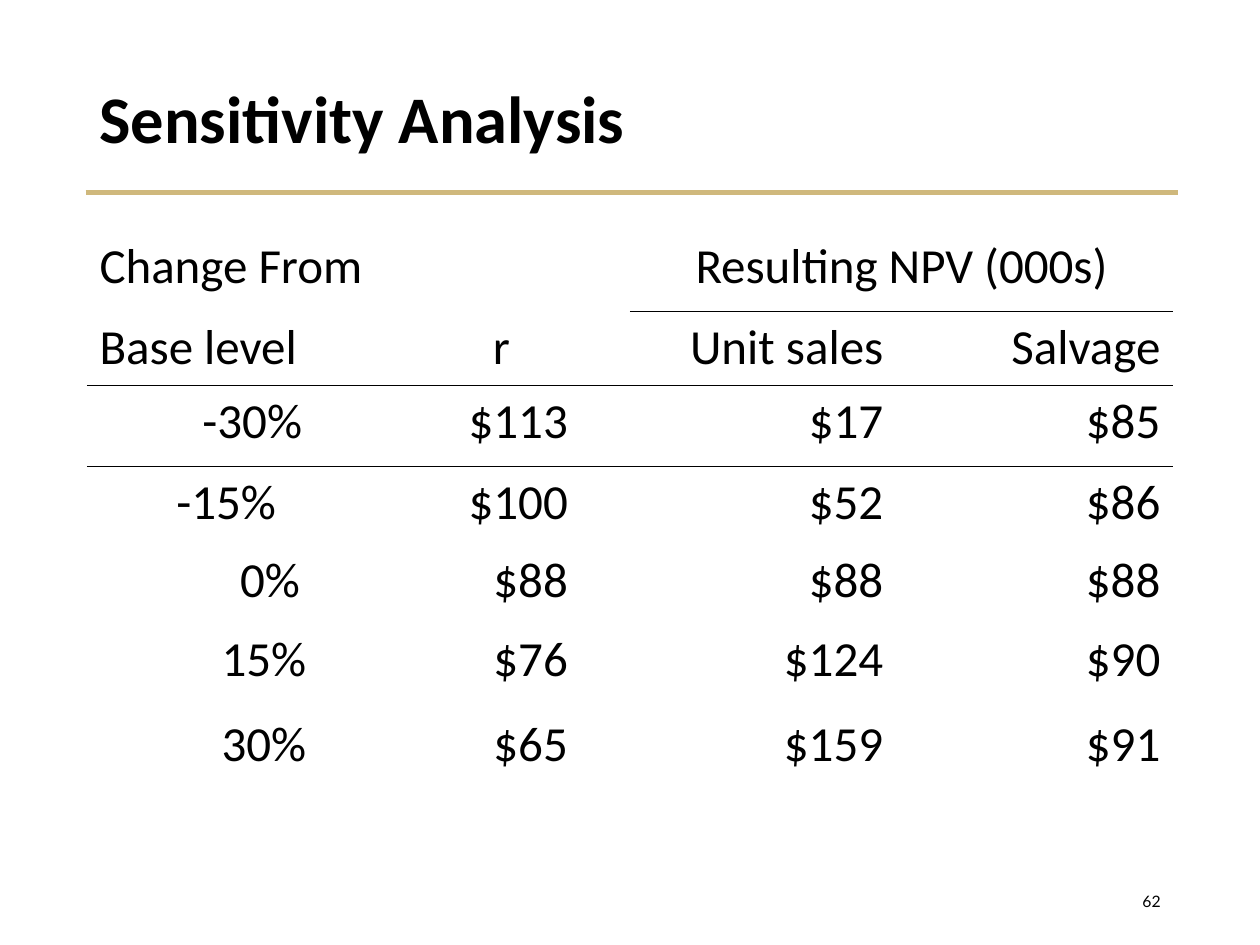
from lxml import etree
from pptx import Presentation
from pptx import util as u
from pptx.dml.color import RGBColor
from pptx.enum import shapes, text
from pptx.oxml import parse_xml
from pptx.oxml.ns import nsdecls, qn

LEFT, RIGHT, CENTER = text.PP_ALIGN.LEFT, text.PP_ALIGN.RIGHT, text.PP_ALIGN.CENTER
NO_STYLE = "{2D5ABB26-0587-4C30-8999-92F81FD0307C}"


def rgb(value):
    return RGBColor.from_string(value)


class Deck:
    """Builds slide elements in one shared style, with lengths in points."""

    ink, gold, font = "000000", "CFB87C", "Calibri"

    def __init__(self, width, height):
        self.prs = Presentation()
        self.prs.slide_width, self.prs.slide_height = u.Pt(width), u.Pt(height)
        self.s = self.prs.slides.add_slide(self.prs.slide_layouts[6])

    def add_run(self, tf, words, size, align=LEFT, bold=False, font=None):
        p = tf.paragraphs[0]
        p.alignment = align
        r = p.add_run()
        r.text = words
        r.font.size, r.font.bold = u.Pt(size), bold
        r.font.name = font or self.font
        r.font.color.rgb = rgb(self.ink)
        return p

    def label(self, x, y, w, h, words, size, **style):
        tf = self.s.shapes.add_textbox(u.Pt(x), u.Pt(y), u.Pt(w), u.Pt(h)).text_frame
        tf.word_wrap = True
        tf.vertical_anchor = text.MSO_ANCHOR.MIDDLE
        return self.add_run(tf, words, size, **style)

    def rule(self, x1, x2, y, weight):
        sp = self.s.shapes.add_connector(
            shapes.MSO_CONNECTOR.STRAIGHT, u.Pt(x1), u.Pt(y), u.Pt(x2), u.Pt(y))
        sp.line.color.rgb, sp.line.width = rgb(self.gold), u.Pt(weight)
        etree.SubElement(sp._element.spPr, qn("a:effectLst"))

    def table(self, x, y, widths, heights):
        table = self.s.shapes.add_table(
            len(heights), len(widths), u.Pt(x), u.Pt(y),
            u.Pt(sum(widths)), u.Pt(sum(heights))).table
        table.first_row = table.horz_banding = False
        table._tbl.tblPr.find(qn("a:tableStyleId")).text = NO_STYLE
        for column, width in zip(table.columns, widths):
            column.width = u.Pt(width)
        for row, height in zip(table.rows, heights):
            row.height = u.Pt(height)
        for cell in table.iter_cells():
            cell.fill.background()
        return table

    def cell(self, cell, words, align, right=7.2):
        cell.margin_right = u.Pt(right)
        self.add_run(cell.text_frame, words, 28, align)

    def border(self, cell, side):
        cell._tc.get_or_add_tcPr().insert(0, parse_xml(
            f'<a:{side} {nsdecls("a")} w="{u.Pt(1)}"><a:solidFill>'
            f'<a:srgbClr val="{self.ink}"/></a:solidFill></a:{side}>'))

    def underline(self, table, row, columns):
        for column in columns:
            self.border(table.cell(row, column), "lnB")
            self.border(table.cell(row + 1, column), "lnT")


def main():
    deck = Deck(720, 540)
    deck.rule(49, 673.2, 110.2, 3)
    title = deck.label(49.7, 28.8, 620.6, 81.4, "Sensitivity Analysis", 38, bold=True)
    title.line_spacing = 0.9

    table = deck.table(49.7, 131.8, [184.3, 126, 151.9, 158.4],
                       [46.1, 42.5, 46.1, 44.6, 45.4, 48.2, 48.2])
    table.cell(0, 0).merge(table.cell(0, 1))
    table.cell(0, 2).merge(table.cell(0, 3))
    deck.cell(table.cell(0, 0), "Change From", LEFT)
    deck.cell(table.cell(0, 2), "Resulting NPV (000s)", CENTER)
    heads = [("Base level", LEFT, 7.2), ("r", RIGHT, 68.6),
             ("Unit sales", RIGHT, 7.2), ("Salvage", RIGHT, 7.2)]
    for column, (words, align, right) in enumerate(heads):
        deck.cell(table.cell(1, column), words, align, right)

    results = [("-30%", 61.4, "$113", "$17", "$85"),
               ("-15%", 76.3, "$100", "$52", "$86"),
               ("0%", 62.6, "$88", "$88", "$88"),
               ("15%", 59, "$76", "$124", "$90"),
               ("30%", 59, "$65", "$159", "$91")]
    for row, (change, indent, *values) in enumerate(results, 2):
        deck.cell(table.cell(row, 0), change, RIGHT, indent)
        for column, (value, right) in enumerate(zip(values, (35.5, 7.2, 7.2)), 1):
            deck.cell(table.cell(row, column), value, RIGHT, right)
    deck.underline(table, 0, (2, 3))
    deck.underline(table, 1, range(4))

    deck.label(508.3, 500.4, 162, 28.8, "62", 9, align=RIGHT, font="Lato")
    deck.prs.save("out.pptx")


if __name__ == "__main__":
    main()
